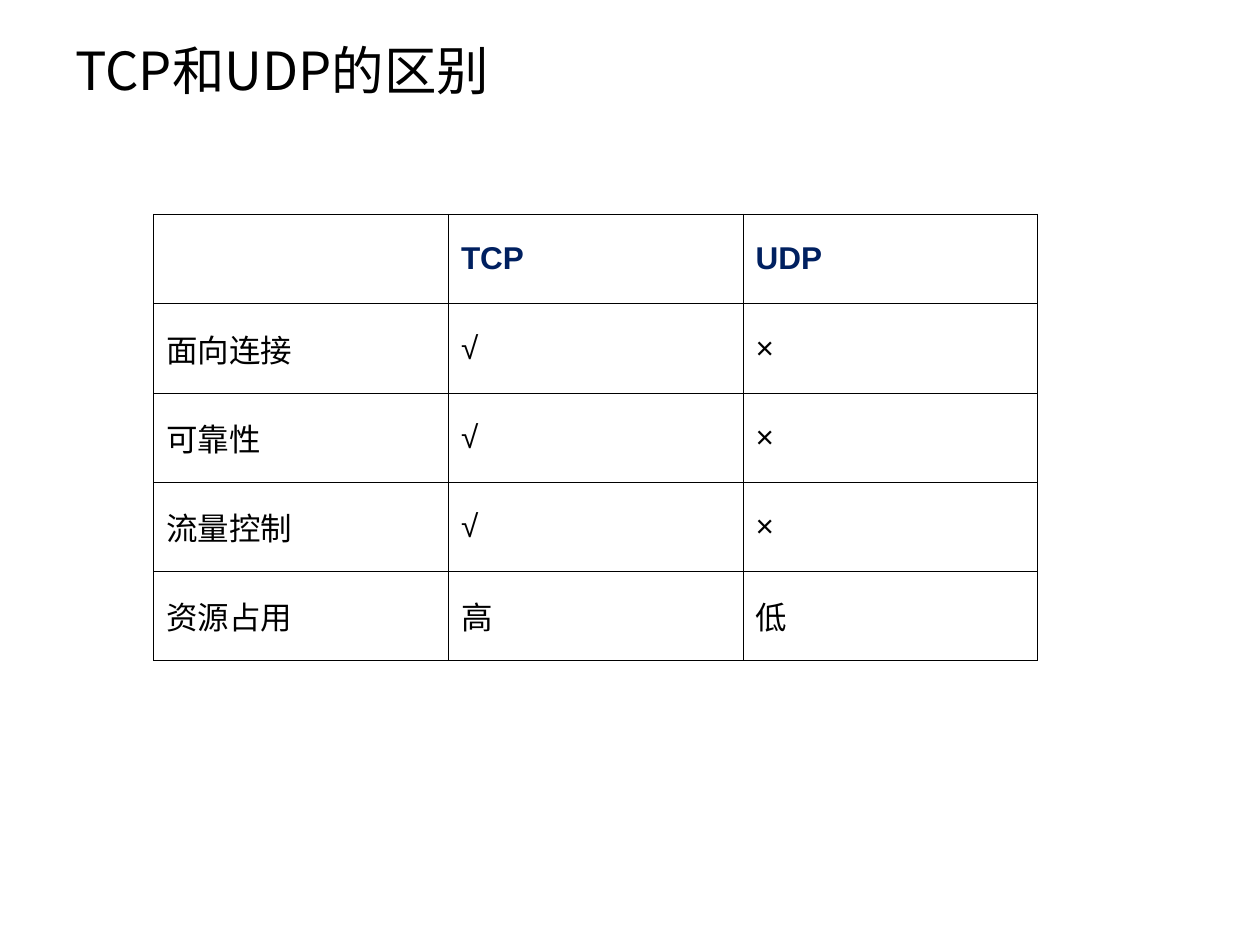
from lxml import etree
from pptx import Presentation
from pptx.dml.color import RGBColor
from pptx.enum import text
from pptx.oxml import ns
from pptx.util import Cm, Pt

TITLE = "TCP和UDP的区别"
ROWS = [
    ("", "TCP", "UDP"),
    ("面向连接", "√", "×"),
    ("可靠性", "√", "×"),
    ("流量控制", "√", "×"),
    ("资源占用", "高", "低"),
]
BLACK = RGBColor(0, 0, 0)
WHITE = RGBColor(255, 255, 255)
NAVY = RGBColor(0x00, 0x20, 0x60)
LATIN = "Arial"
HAN = "Noto Sans CJK SC"
COL, ROW = Cm(5.94), Cm(1.8)


def style(para, size, name, color, bold=False):
    font = para.font
    font.size, font.name, font.bold = Pt(size), name, bold
    font.color.rgb = color
    latin = para._p.pPr.find(".//" + ns.qn("a:latin"))
    east = etree.Element(ns.qn("a:ea"), typeface=HAN)
    latin.addnext(east)


def border(cell, width, color):
    props = cell._tc.get_or_add_tcPr()
    for spot, side in enumerate(("lnL", "lnR", "lnT", "lnB")):
        line = etree.Element(ns.qn("a:" + side), w=str(Pt(width)))
        fill = etree.SubElement(line, ns.qn("a:solidFill"))
        etree.SubElement(fill, ns.qn("a:srgbClr"), val=str(color))
        props.insert(spot, line)


deck = Presentation()
deck.slide_width, deck.slide_height = Cm(25.4), Cm(19.05)
slide = deck.slides.add_slide(deck.slide_layouts[6])

frame = slide.shapes.add_textbox(Cm(1.27), Cm(0.33), Cm(20.83), Cm(2.16)).text_frame
frame.word_wrap = True
frame.vertical_anchor = text.MSO_ANCHOR.MIDDLE
frame.text = TITLE
style(frame.paragraphs[0], 30, HAN, BLACK)

count, width = len(ROWS), len(ROWS[0])
table = slide.shapes.add_table(
    count, width, Cm(3.1), Cm(4.32), COL * width, ROW * count).table
for col in table.columns:
    col.width = COL
for r, row in enumerate(ROWS):
    table.rows[r].height = ROW
    for c, word in enumerate(row):
        cell = table.cell(r, c)
        cell.text = word
        cell.vertical_anchor = text.MSO_ANCHOR.MIDDLE
        cell.fill.solid()
        cell.fill.fore_color.rgb = WHITE
        border(cell, 0.45, BLACK)
        head = r == 0
        style(cell.text_frame.paragraphs[0], 18, LATIN, NAVY if head else BLACK, head)

deck.save("out.pptx")
